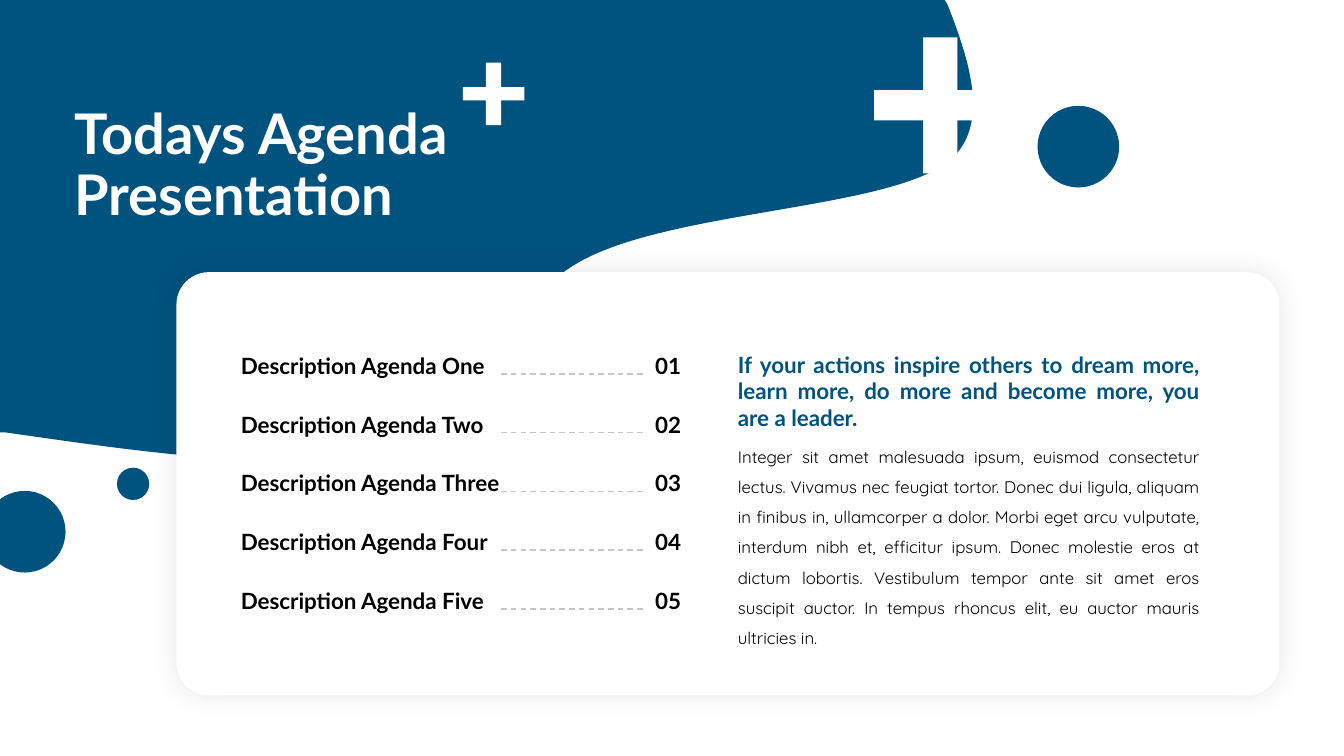
import dataclasses

import lxml.etree
import pptx
import pptx.dml.color
import pptx.enum.dml
import pptx.enum.shapes
import pptx.enum.text
import pptx.oxml
import pptx.oxml.ns
import pptx.util

Inches = pptx.util.Inches
Pt = pptx.util.Pt
qn = pptx.oxml.ns.qn
Shape = pptx.enum.shapes.MSO_SHAPE
Anchor = pptx.enum.text.MSO_ANCHOR
Align = pptx.enum.text.PP_ALIGN
AutoSize = pptx.enum.text.MSO_AUTO_SIZE


@dataclasses.dataclass(frozen=True)
class Theme:
    blue: str = "00527F"
    white: str = "FFFFFF"
    black: str = "000000"
    leader: str = "C5C3C3"
    heading: str = "Lato"
    body: str = "Quicksand"
    title_size: int = 40
    item_size: int = 16
    body_size: int = 12


THEME = Theme()
AGENDA = ["One", "Two", "Three", "Four", "Five"]
QUOTE = ("If your actions inspire others to dream more, learn more, "
         "do more and become more, you are a leader.")
DETAIL = ("Integer sit amet malesuada ipsum, euismod consectetur lectus. "
          "Vivamus nec feugiat tortor. Donec dui ligula, aliquam in finibus in, "
          "ullamcorper a dolor. Morbi eget arcu vulputate, interdum nibh et, "
          "efficitur ipsum. Donec molestie eros at dictum lobortis. Vestibulum "
          "tempor ante sit amet eros suscipit auctor. In tempus rhoncus elit, "
          "eu auctor mauris ultricies in.")
WAVE_START = (2.74, 4.57)
WAVE_EDGES = [
    [(1.83, 4.56), (0.7, 4.38), (0.05, 4.29)],
    [(0, 4.29)],
    [(0, 0)],
    [(9.37, 0)],
    [(9.4, 0.05)],
    [(9.58, 0.52), (9.85, 1.23), (9.42, 1.59)],
    [(8.85, 2.07), (6.78, 2.08), (5.82, 2.56)],
    [(4.87, 3.04), (4.7, 4.2), (3.69, 4.48)],
    [(3.43, 4.55), (3.1, 4.57), WAVE_START],
]


def rgb(color):
    return pptx.dml.color.RGBColor.from_string(color)


def apply(target, formats):
    for name, value in formats.items():
        setattr(target, name, value)


def paint(shape, color):
    shape.shadow.inherit = False
    shape.fill.solid()
    shape.fill.fore_color.rgb = rgb(color)
    shape.line.fill.background()


def add_outline(page, points, color):
    corners = [(Inches(x), Inches(y)) for x, y in points]
    builder = page.shapes.build_freeform(*corners[0])
    builder.add_line_segments(corners[1:], close=True)
    shape = builder.convert_to_shape()
    paint(shape, color)
    return shape


def add_shape(page, kind, box, color):
    shape = page.shapes.add_shape(kind, *map(Inches, box))
    paint(shape, color)
    return shape


def add_text(page, box, text, size, color, font=THEME.heading, bold=True,
             frame_format=None, para_format=None):
    frame = page.shapes.add_textbox(*map(Inches, box)).text_frame
    apply(frame, {"word_wrap": True, **(frame_format or {})})
    para = frame.paragraphs[0]
    apply(para, para_format or {})
    span = para.add_run()
    span.text = text
    apply(span.font, {"name": font, "size": Pt(size), "bold": bold})
    span.font.color.rgb = rgb(color)


def add_wave(page, width, height):
    ends = [edge[-1] for edge in WAVE_EDGES]
    wave = add_outline(page, [WAVE_START, *ends], THEME.blue)
    apply(wave, {"width": Inches(width), "height": Inches(height)})
    outline = next(wave._element.iter(qn("a:pathLst")))[0]
    outline.set("w", str(Inches(width)))
    outline.set("h", str(Inches(height)))
    for segment, edge in zip(outline.findall(qn("a:lnTo")), WAVE_EDGES):
        if len(edge) == 3:
            curve = lxml.etree.Element(qn("a:cubicBezTo"))
            for x, y in edge:
                lxml.etree.SubElement(curve, qn("a:pt"), x=str(Inches(x)),
                                      y=str(Inches(y)))
            outline.replace(segment, curve)


def add_plus(page, box, stem, bar):
    left, top, width, height = box
    x1, x2 = left + (width - stem) / 2, left + (width + stem) / 2
    y1, y2 = top + (height - bar) / 2, top + (height + bar) / 2
    right, bottom = left + width, top + height
    add_outline(page, [(x1, top), (x2, top), (x2, y1), (right, y1),
                       (right, y2), (x2, y2), (x2, bottom), (x1, bottom),
                       (x1, y2), (left, y2), (left, y1), (x1, y1)], THEME.white)


def add_card(page, box):
    card = add_shape(page, Shape.ROUNDED_RECTANGLE, box, THEME.white)
    card.adjustments[0] = 0.077
    effects = card._element.spPr.find(qn("a:effectLst"))
    effects.append(pptx.oxml.parse_xml(
        f'<a:outerShdw {pptx.oxml.ns.nsdecls("a")} blurRad="{Pt(20)}" dist="0" '
        f'dir="0" algn="ctr" rotWithShape="0"><a:srgbClr val="{THEME.black}">'
        '<a:alpha val="10000"/></a:srgbClr></a:outerShdw>'))


def add_leader(page, left, right, y):
    leader = page.shapes.add_connector(
        pptx.enum.shapes.MSO_CONNECTOR.STRAIGHT,
        *map(Inches, (left, y, right, y)))
    leader.line.color.rgb = rgb(THEME.leader)
    apply(leader.line, {"width": Pt(1),
                        "dash_style": pptx.enum.dml.MSO_LINE.DASH})
    lxml.etree.SubElement(leader._element.spPr, qn("a:effectLst"))


def add_agenda(page, box):
    left, top, width, height = box
    row_height = 0.37
    pitch = (height - row_height) / (len(AGENDA) - 1)
    frame_format = {"vertical_anchor": Anchor.MIDDLE,
                    "auto_size": AutoSize.SHAPE_TO_FIT_TEXT}
    for index, name in enumerate(AGENDA):
        y = top + index * pitch
        cells = [(left, 2.85, f"Description Agenda {name}"),
                 (left + width - 0.5, 0.5, f"{index + 1:02d}")]
        for x, cell_width, text in cells:
            add_text(page, (x, y, cell_width, row_height), text,
                     THEME.item_size, THEME.black, frame_format=frame_format)
        add_leader(page, left + 2.68, left + 4.09, y + 0.27)


def add_message(page, box):
    left, top, width, height = box
    grow = {"auto_size": AutoSize.SHAPE_TO_FIT_TEXT}
    add_text(page, (left, top + 0.85, width, height - 0.85), DETAIL,
             THEME.body_size, THEME.black, THEME.body, False, grow,
             {"alignment": Align.JUSTIFY, "line_spacing": 1.5})
    add_text(page, (left, top, width, 0.91), QUOTE, THEME.item_size,
             THEME.blue, frame_format=grow,
             para_format={"alignment": Align.JUSTIFY})


def add_title(page, box):
    add_text(page, box, "Todays Agenda Presentation", THEME.title_size,
             THEME.white, frame_format={"vertical_anchor": Anchor.MIDDLE},
             para_format={"line_spacing": 0.9})


def add_dots(page):
    for left, top, size in [(10.29, 1.05, 0.81), (1.16, 4.64, 0.32),
                            (-0.16, 4.87, 0.81)]:
        add_shape(page, Shape.OVAL, (left, top, size, size), THEME.blue)


def main():
    deck = pptx.Presentation()
    apply(deck, {"slide_width": Inches(13.33), "slide_height": Inches(7.5)})
    page = deck.slides.add_slide(deck.slide_layouts[6])
    add_wave(page, 9.65, 4.57)
    add_plus(page, (8.67, 0.37, 1.31, 1.35), 0.34, 0.3)
    add_plus(page, (4.59, 0.62, 0.61, 0.62), 0.15, 0.13)
    add_card(page, (1.75, 2.7, 10.94, 4.2))
    add_agenda(page, (2.29, 3.44, 4.61, 2.7))
    add_message(page, (7.22, 3.43, 4.78, 2.73))
    add_dots(page)
    add_title(page, (0.64, 0.93, 5.08, 1.45))
    deck.save("out.pptx")


if __name__ == "__main__":
    main()
